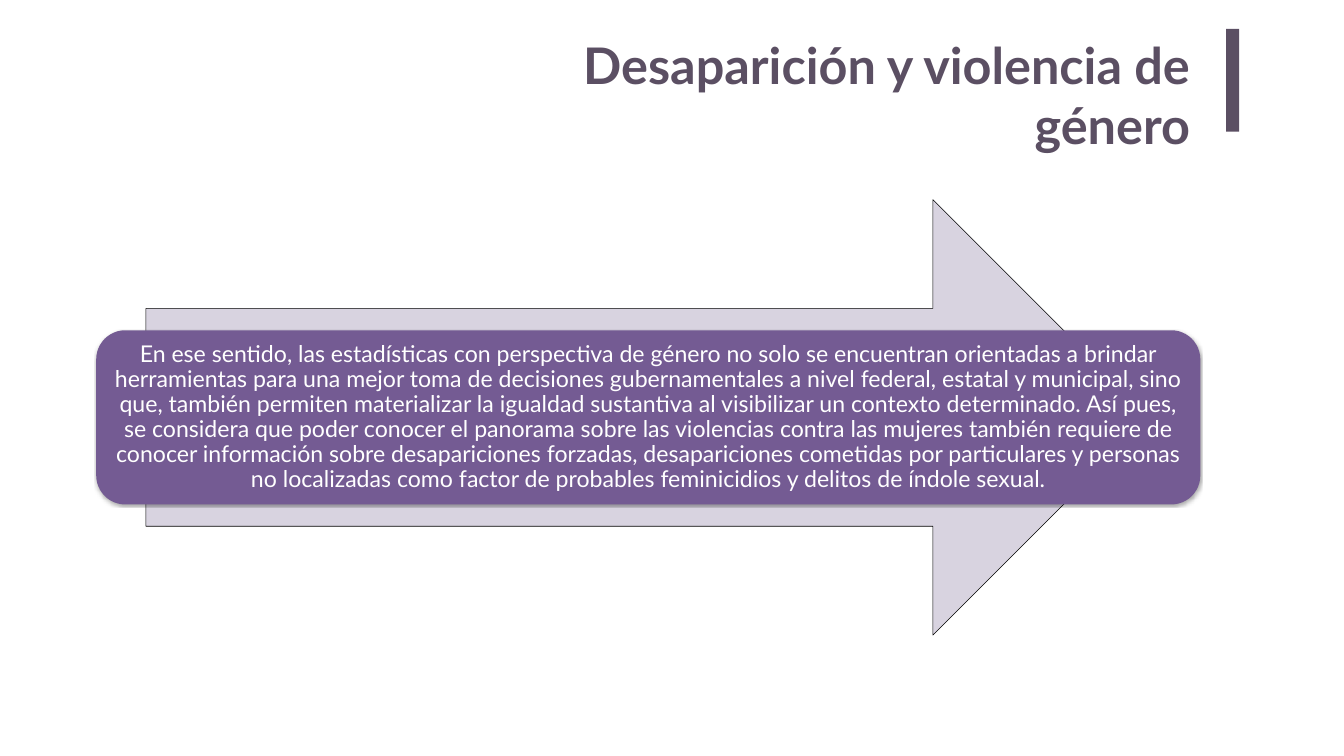
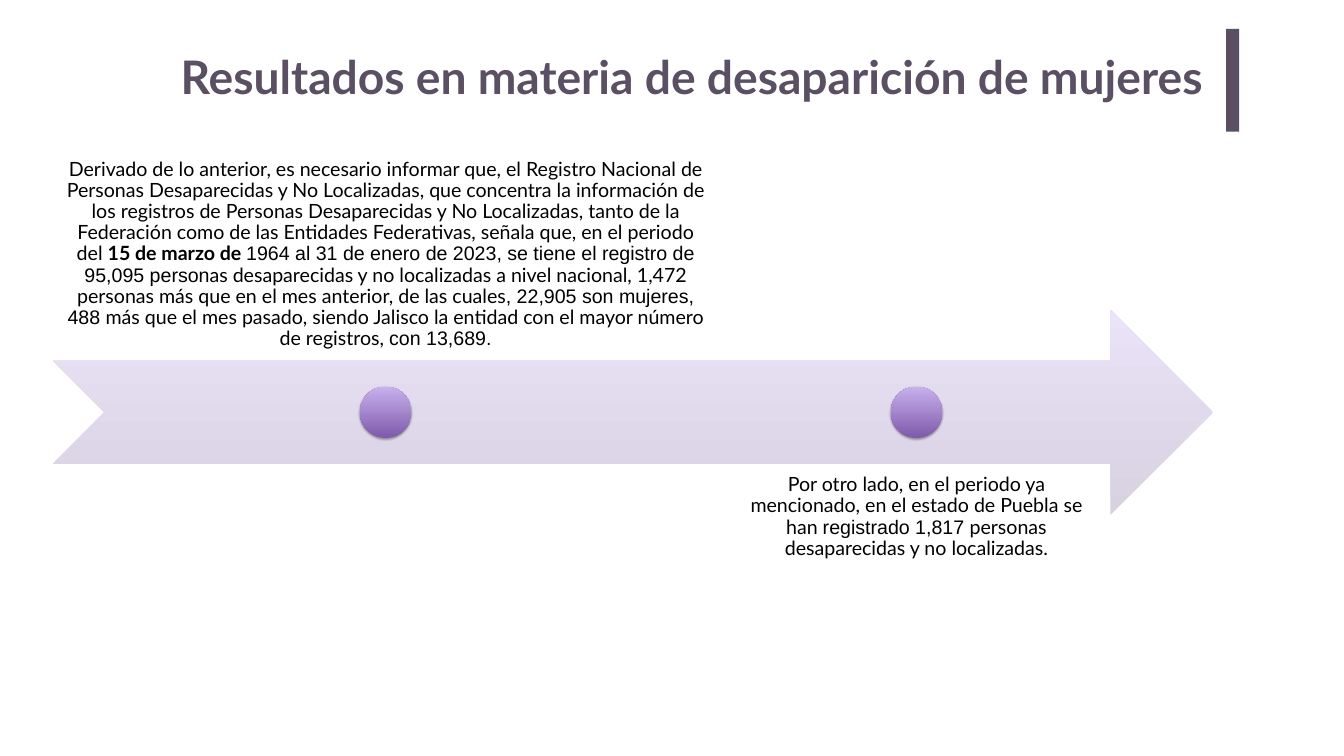
from lxml import etree
from pptx import Presentation
from pptx.dml.color import RGBColor
from pptx.enum.shapes import MSO_SHAPE
from pptx.enum.text import MSO_ANCHOR, MSO_AUTO_SIZE, PP_ALIGN
from pptx.oxml.ns import qn
from pptx.util import Cm, Pt

RECT, ROUND_RECT = MSO_SHAPE.RECTANGLE, MSO_SHAPE.ROUNDED_RECTANGLE
ARROW, NOTCHED_ARROW = MSO_SHAPE.RIGHT_ARROW, MSO_SHAPE.NOTCHED_RIGHT_ARROW
CIRCLE = MSO_SHAPE.OVAL
TOP, MIDDLE, BOTTOM = MSO_ANCHOR.TOP, MSO_ANCHOR.MIDDLE, MSO_ANCHOR.BOTTOM
CENTER, RIGHT = PP_ALIGN.CENTER, PP_ALIGN.RIGHT
NO_AUTOFIT = MSO_AUTO_SIZE.NONE

COLORS = {
    "title": "5B4F63", "arrow": "D8D3E0", "card": "745B93",
    "band_dark": "D7D1E2", "band_light": "EBE3F7",
    "dot_dark": "7F5BAB", "dot_light": "C8B0ED",
    "black": "000000", "white": "FFFFFF",
}
SANS, DIGITS = "Lato", "Arial"
TITLE_ONLY = 5

STATEMENT = (
    "En ese sentido, las estadísticas con perspectiva de género no solo se "
    "encuentran orientadas a brindar herramientas para una mejor toma de "
    "decisiones gubernamentales a nivel federal, estatal y municipal, sino que, "
    "también permiten materializar la igualdad sustantiva al visibilizar un "
    "contexto determinado. Así pues, se considera que poder conocer el panorama "
    "sobre las violencias contra las mujeres también requiere de conocer "
    "información sobre desapariciones forzadas, desapariciones cometidas por "
    "particulares y personas no localizadas como factor de probables "
    "feminicidios y delitos de índole sexual."
)

# Each span: text, font, bold
NATIONAL = [
    ("Derivado de lo anterior, es necesario informar que, el Registro Nacional de "
     "Personas Desaparecidas y No Localizadas, que concentra la información de los "
     "registros de Personas Desaparecidas y No Localizadas, tanto de la Federación "
     "como de las Entidades Federativas, señala que, en el periodo del ", SANS, False),
    ("15 de marzo de ", SANS, True),
    ("1964 al 31 de enero de 2023, se tiene el registro de 95,095 person",
     DIGITS, False),
    ("as desaparecidas y no localizadas a nivel nacional, 1,472 personas más que "
     "en el mes anterior, de las cuales", SANS, False),
    (", 22,905 son mujeres, 488 ", DIGITS, False),
    ("más que el mes pasado, siendo Jalisco la entidad con el mayor número de "
     "registros, ", SANS, False),
    ("con 13,689.", DIGITS, False),
]
STATE = [
    ("Por otro lado, en el periodo ya mencionado, en el estado de Puebla se han ",
     SANS, False),
    ("registrado 1,817 ", DIGITS, False),
    ("personas desaparecidas y no localizadas.", SANS, False),
]


def color(name):
    return RGBColor.from_string(COLORS[name])


def add_shape(page, kind, box, fill):
    """Add a flat shape; a pair of colour names gives a bottom-to-top gradient."""
    shape = page.shapes.add_shape(kind, *(Cm(length) for length in box))
    shape.shadow.inherit = False
    shape.line.fill.background()
    if isinstance(fill, str):
        shape.fill.solid()
        shape.fill.fore_color.rgb = color(fill)
    else:
        shape.fill.gradient()
        shape.fill.gradient_angle = 90
        for stop, name in zip(shape.fill.gradient_stops, fill):
            stop.color.rgb = color(name)
    return shape


def add_soft_shadow(shape):
    effects = shape._element.spPr.find(qn("a:effectLst"))
    shadow = etree.SubElement(effects, qn("a:outerShdw"), blurRad="39400",
                              dist="22900", dir="5400000", rotWithShape="0")
    tint = etree.SubElement(shadow, qn("a:srgbClr"), val=COLORS["black"])
    etree.SubElement(tint, qn("a:alpha"), val="35000")


def format_frame(frame, anchor, inset_x, inset_y):
    frame.word_wrap = True
    frame.auto_size = NO_AUTOFIT
    frame.vertical_anchor = anchor
    frame.margin_left = frame.margin_right = Cm(inset_x)
    frame.margin_top = frame.margin_bottom = Cm(inset_y)


def format_para(para, size, ink, align, spacing):
    para.alignment = align
    para.line_spacing = spacing
    para.font.size = Pt(size)
    para.font.color.rgb = color(ink)


def add_page(deck, title, box, size):
    """Start a slide with its right-aligned title and the bar beside it."""
    page = deck.slides.add_slide(deck.slide_layouts[TITLE_ONLY])
    heading = page.shapes.title
    heading.left, heading.top, heading.width, heading.height = map(Cm, box)
    format_frame(heading.text_frame, TOP, 0.5, 0.25)
    para = heading.text_frame.paragraphs[0]
    para.text = title
    format_para(para, size, "title", RIGHT, 1.0)
    para.font.name = SANS
    para.font.bold = True
    add_shape(page, RECT, (61.8, 1.45, 0.66, 5.18), "title")
    return page


def draw_statement(page, box):
    """Wide arrow with a text card across its middle."""
    left, top, width, height = box
    # Arrow takes the full height and 91 % of the width
    arrow_width = 0.91 * width
    arrow = add_shape(page, ARROW,
                      (left + (width - arrow_width) / 2, top, arrow_width, height),
                      "arrow")
    arrow.line.color.rgb = color("black")
    arrow.line.width = Pt(0.75)
    # Card takes the middle 40 % of the height
    card = add_shape(page, ROUND_RECT,
                     (left, top + 0.3 * height, width, 0.4 * height), "card")
    add_soft_shadow(card)
    format_frame(card.text_frame, MIDDLE, 0.36, 0.36)
    para = card.text_frame.paragraphs[0]
    para.text = STATEMENT
    format_para(para, 33, "white", CENTER, 0.9)
    para.font.name = SANS


def add_milestone(page, spans, box, anchor, dot_middle):
    """Text on one side of the band, with a dot at its centre line."""
    left, _, width, height = box
    note = page.shapes.add_textbox(*(Cm(length) for length in box))
    format_frame(note.text_frame, anchor, 0.56, 0.56)
    para = note.text_frame.paragraphs[0]
    for text, font, bold in spans:
        span = para.add_run()
        span.text = text
        span.font.name = font
        span.font.bold = bold
    format_para(para, 28, "black", CENTER, 0.9)
    size = height / 4
    dot = add_shape(page, CIRCLE,
                    (left + (width - size) / 2, dot_middle - size / 2, size, size),
                    ("dot_dark", "dot_light"))
    add_soft_shadow(dot)


def draw_timeline(page, box):
    """Notched arrow with one milestone above its band and one below."""
    left, top, _, height = box
    add_shape(page, NOTCHED_ARROW, box, ("band_dark", "band_light"))
    middle, offset = top + height / 2, 0.75 * height
    add_milestone(page, NATIONAL, (left, top - offset, 33.53, height), BOTTOM, middle)
    add_milestone(page, STATE, (left + 34.44, top + offset, 18.16, height), TOP, middle)


def main():
    deck = Presentation()
    deck.slide_width, deck.slide_height = Cm(67.74), Cm(38.1)

    page = add_page(deck, "Desaparición y violencia de género",
                    (26.42, 1.45, 34.06, 3.71), 72)
    draw_statement(page, (4.85, 10.06, 55.65, 21.95))

    page = add_page(deck, "Resultados en materia de desaparición de mujeres",
                    (6.58, 2.18, 54.56, 5.18), 66)
    draw_timeline(page, (2.67, 15.6, 58.47, 10.36))

    deck.save("out.pptx")


if __name__ == "__main__":
    main()
